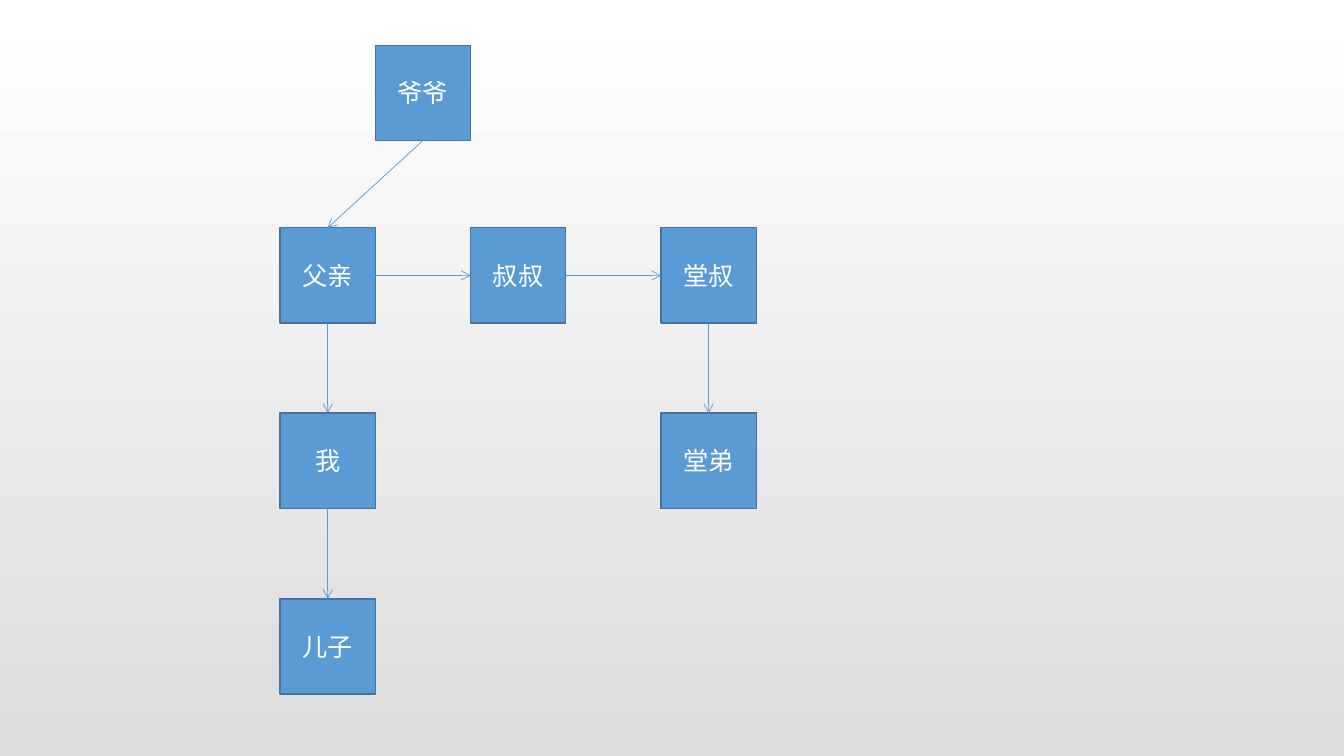
"""Build a family tree slide: boxes on a grid, joined by arrows."""
from pptx import Presentation, util as u
from pptx.dml.color import RGBColor
from pptx.enum import shapes, text
from pptx.oxml.ns import qn
from lxml import etree

COLOURS = {"box": "5B9BD5", "border": "43739E", "text": "FFFFFF",
           "top": "FFFFFF", "bottom": "DCDCDC"}
BOX_SIDE = 2.4
LEFT, COLUMN_STEP = 7.06, 2 * BOX_SIDE
ROW_TOPS = (1.14, 5.74, 10.41, 15.09)
TOP_SITE, LEFT_SITE, BOTTOM_SITE, RIGHT_SITE = range(4)

# Name: (column, row); half a column puts the root between two boxes.
RELATIVES = {
    "堂叔": (2, 1), "堂弟": (2, 2), "我": (0, 2), "叔叔": (1, 1),
    "父亲": (0, 1), "爷爷": (0.5, 0), "儿子": (0, 3),
}
DOWN_LINKS = [("爷爷", "父亲"), ("父亲", "我"), ("堂叔", "堂弟"), ("我", "儿子")]
SIDE_LINKS = [("父亲", "叔叔"), ("叔叔", "堂叔")]


def colour(name):
    """Return the named colour."""
    return RGBColor.from_string(COLOURS[name])


class TreeSlide:
    """Holds the style and the slide that is drawn on."""

    font_name, font_size = "Arial", u.Pt(18)
    border_width, arrow_width = u.Pt(1), u.Pt(0.5)

    def __init__(self, presentation):
        """Add a blank slide."""
        self.slide = presentation.slides.add_slide(presentation.slide_layouts[6])

    def background(self):
        """Shade the slide from top to bottom."""
        fill = self.slide.background.fill
        fill.gradient()
        fill.gradient_angle = 270
        for stop, name in zip(fill.gradient_stops, ("top", "bottom")):
            stop.color.rgb = colour(name)

    def box(self, name, column, row):
        """Add a labelled square at a grid place."""
        shape = self.slide.shapes.add_shape(
            shapes.MSO_SHAPE.RECTANGLE,
            u.Cm(LEFT + column * COLUMN_STEP), u.Cm(ROW_TOPS[row]),
            u.Cm(BOX_SIDE), u.Cm(BOX_SIDE))
        shape.shadow.inherit = False
        shape.fill.solid()
        shape.fill.fore_color.rgb = colour("box")
        shape.line.color.rgb = colour("border")
        shape.line.width = self.border_width
        frame = shape.text_frame
        frame.text = name
        frame.vertical_anchor = text.MSO_ANCHOR.MIDDLE
        paragraph = frame.paragraphs[0]
        paragraph.alignment = text.PP_ALIGN.CENTER
        font = paragraph.runs[0].font
        font.name, font.size = self.font_name, self.font_size
        font.color.rgb = colour("text")
        return shape

    def arrow(self, start, start_site, end, end_site):
        """Join two boxes with an arrow glued to their sides."""
        connector = self.slide.shapes.add_connector(
            shapes.MSO_CONNECTOR.STRAIGHT, 0, 0, 0, 0)
        connector.begin_connect(start, start_site)
        connector.end_connect(end, end_site)
        connector.line.color.rgb = colour("box")
        connector.line.width = self.arrow_width
        properties = connector.element.spPr
        etree.SubElement(properties.find(qn("a:ln")), qn("a:tailEnd"), type="arrow")
        etree.SubElement(properties, qn("a:effectLst"))


def main():
    """Draw the family tree and save it."""
    presentation = Presentation()
    presentation.slide_width, presentation.slide_height = u.Cm(33.87), u.Cm(19.05)
    tree = TreeSlide(presentation)
    tree.background()
    boxes = {name: tree.box(name, *place) for name, place in RELATIVES.items()}
    for parent, child in DOWN_LINKS:
        tree.arrow(boxes[parent], BOTTOM_SITE, boxes[child], TOP_SITE)
    for elder, younger in SIDE_LINKS:
        tree.arrow(boxes[elder], RIGHT_SITE, boxes[younger], LEFT_SITE)
    presentation.save("out.pptx")


main()
